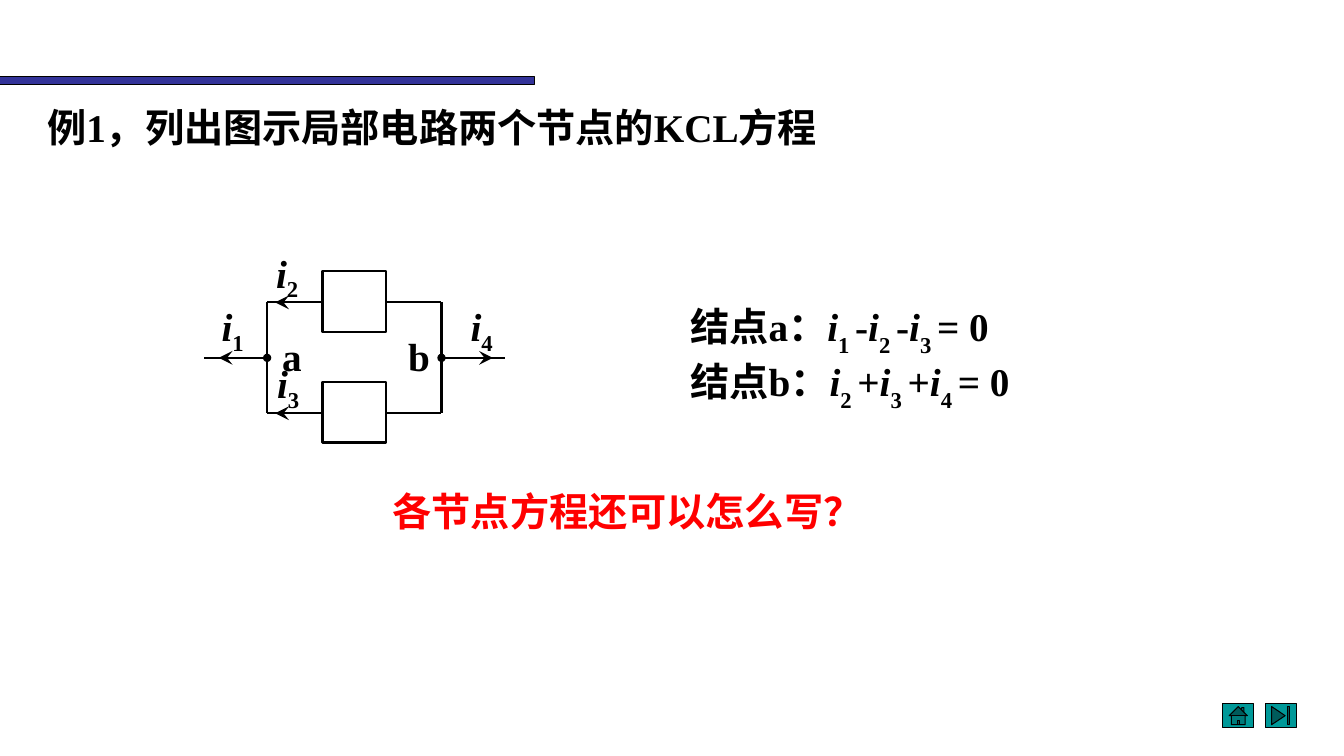
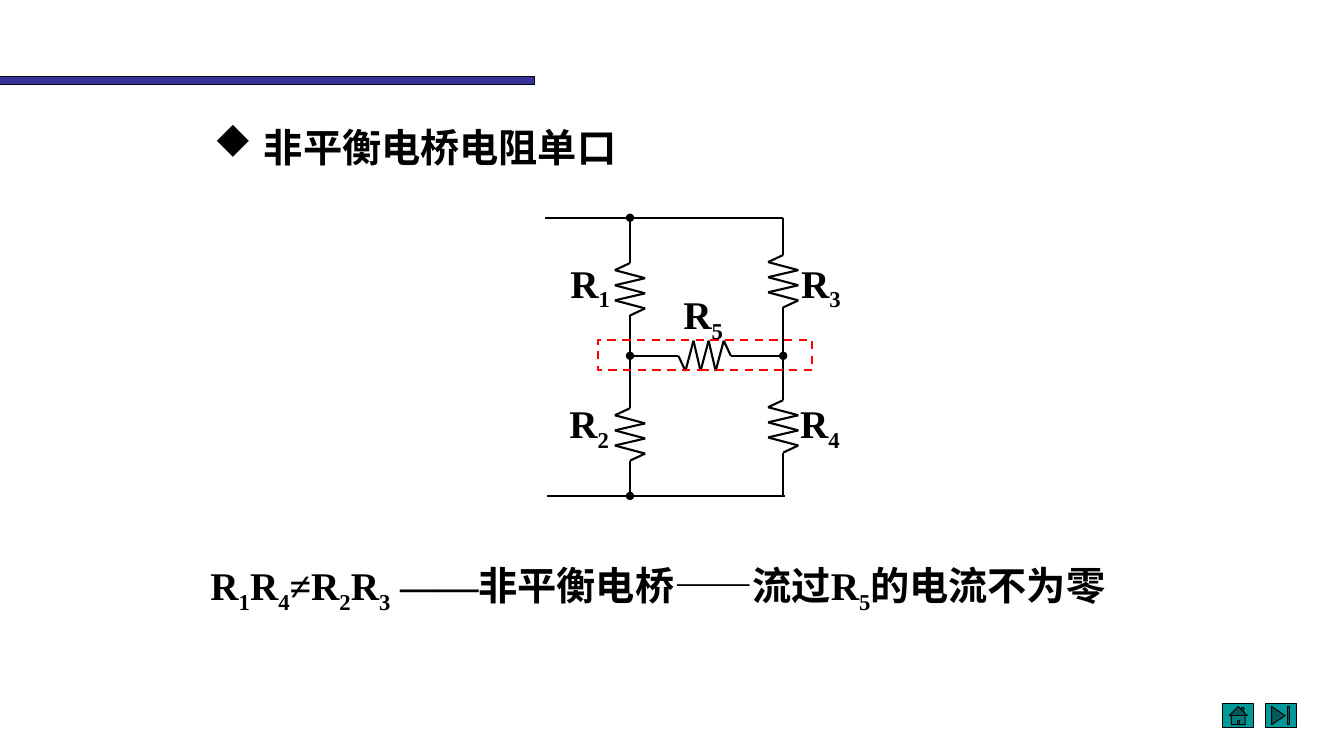
from itertools import pairwise

from lxml import etree
from pptx import Presentation
from pptx.dml.color import RGBColor
from pptx.enum import dml, shapes, text
from pptx.oxml.ns import qn
from pptx.util import Pt

SCALE = 9144  # EMU in one px, 100 px to the inch
BLACK = RGBColor(0x00, 0x00, 0x00)
RED = RGBColor(0xFF, 0x00, 0x00)
NAVY = RGBColor(0x33, 0x33, 0x99)
TEAL = RGBColor(0x00, 0x99, 0x99)
LATIN = "Times New Roman"
CHINESE = "Noto Sans CJK SC"
LABEL_HEIGHT = 57


def px(*lengths):
    return [round(length * SCALE) for length in lengths]


def add_runs(paragraph, markup, color, latin, drop):
    """Write pieces split by |, where * starts an italic and _ a subscript."""
    for piece in markup.split("|"):
        run = paragraph.add_run()
        run.text = piece.lstrip("*_")
        font = run.font
        font.name, font.size, font.bold = latin, Pt(28), True
        font.italic = piece.startswith("*")
        font.color.rgb = color
        properties = run._r.get_or_add_rPr()
        etree.SubElement(properties, qn("a:ea"), typeface=CHINESE)
        if piece.startswith("_"):
            properties.set("baseline", str(-1000 * drop))


def add_text(slide, box, *lines, color=BLACK, latin=LATIN, drop=25,
             align=text.PP_ALIGN.LEFT, inset=(10, 5)):
    shape = slide.shapes.add_textbox(*px(*box))
    frame = shape.text_frame
    frame.word_wrap = True
    frame.margin_left = frame.margin_right = px(inset[0])[0]
    frame.margin_top = frame.margin_bottom = px(inset[1])[0]
    for index, markup in enumerate(lines):
        paragraph = frame.add_paragraph() if index else frame.paragraphs[0]
        paragraph.alignment = align
        add_runs(paragraph, markup, color, latin, drop)
    return shape


def add_box(slide, kind, box, fill=None, line=BLACK, width=1.5):
    shape = slide.shapes.add_shape(kind, *px(*box))
    shape.shadow.inherit = False
    if fill is None:
        shape.fill.background()
    else:
        shape.fill.solid()
        shape.fill.fore_color.rgb = fill
    shape.line.color.rgb = line
    shape.line.width = Pt(width)
    return shape


def add_wire(slide, start, end, head=None, tail=None):
    """Draw a line with an optional end mark (oval, stealth) at each end."""
    wire = slide.shapes.add_connector(
        shapes.MSO_CONNECTOR.STRAIGHT, *px(*start, *end))
    wire.line.color.rgb = BLACK
    wire.line.width = Pt(1.5)
    properties = wire._element.spPr
    outline = properties.find(qn("a:ln"))
    for tag, mark in (("a:headEnd", head), ("a:tailEnd", tail)):
        if mark:
            size = "lg" if mark == "stealth" else "med"
            etree.SubElement(outline, qn(tag), type=mark, w=size, len=size)
    etree.SubElement(properties, qn("a:effectLst"))


def add_resistor(slide, left, top, horizontal=False):
    """Draw a zigzag 52 px long from left, top, with a lead at each end."""
    along = (-23, 0, 7, 15, 22, 30, 37, 45, 52, 75)
    across = (0, 0, -15, 15, -15, 15, -15, 15, 0, 0)
    if horizontal:
        points = [(left + a, top - c) for a, c in zip(along, across)]
    else:
        points = [(left + c, top + a) for a, c in zip(along, across)]
    for start, end in pairwise(points):
        add_wire(slide, start, end)


def new_slide(presentation):
    """Add a blank slide with the shared band and navigation buttons."""
    slide = presentation.slides.add_slide(presentation.slide_layouts[6])
    kinds = shapes.MSO_SHAPE
    for kind, box, fill in (
            (kinds.RECTANGLE, (0, 76, 530, 8), NAVY),
            (kinds.ACTION_BUTTON_HOME, (1213, 698, 31, 24), TEAL),
            (kinds.ACTION_BUTTON_END, (1255, 698, 31, 24), TEAL)):
        add_box(slide, kind, box, fill, width=0.75)
    return slide


def draw_two_node_circuit(slide, left, top):
    def at(x, y):
        return left + x, top + y

    node_a, node_b, middle = 63, 236, 86
    box_left, box_width, box_height = 118, 63, 60
    for branch in (31, 141):
        add_box(slide, shapes.MSO_SHAPE.RECTANGLE,
                (*at(box_left, branch - 31), box_width, box_height))
        add_wire(slide, at(node_a, branch), at(box_left, branch))
        add_wire(slide, at(box_left + box_width, branch), at(node_b, branch))
        add_wire(slide, at(102, branch), at(71, branch), tail="stealth")
    for node, end, arrow in ((node_a, 0, (47, 15)), (node_b, 299, (255, 287))):
        add_wire(slide, at(node, 31), at(node, 141))
        add_wire(slide, at(node, middle), at(end, middle), head="oval")
        add_wire(slide, at(arrow[0], middle), at(arrow[1], middle),
                 tail="stealth")
    for markup, x, y in (("a", 68, 56), ("b", 193, 56), ("*i|_1", 8, 26),
                         ("*i|_2", 62, -27), ("*i|_3", 63, 83),
                         ("*i|_4", 255, 26)):
        add_text(slide, (*at(x, y), 55, LABEL_HEIGHT), markup)


def draw_bridge(slide, left, top):
    def at(x, y):
        return left + x, top + y

    near, far, middle, bottom = 84, 236, 137, 276
    add_wire(slide, at(0, 0), at(far, 0))
    add_wire(slide, at(2, bottom), at(far + 2, bottom))
    for column, upper, lower, mark in ((near, 45, 189, "oval"),
                                       (far, 37, 181, None)):
        add_wire(slide, at(column, 0), at(column, 32), head=mark)
        add_wire(slide, at(column, 102), at(column, 173))
        add_wire(slide, at(column, bottom - 32), at(column, bottom), tail=mark)
        for start in (upper, lower):
            add_resistor(slide, *at(column, start))

    add_wire(slide, at(near, middle), at(near + 39, middle), head="oval")
    add_resistor(slide, *at(132, middle), horizontal=True)
    add_wire(slide, at(far - 40, middle), at(far, middle), tail="oval")
    frame = add_box(slide, shapes.MSO_SHAPE.RECTANGLE,
                    (*at(52, middle - 16), 213, 30), line=RED)
    frame.line.dash_style = dml.MSO_LINE.DASH
    for number, x, y in ((1, 15, 36), (2, 14, 175), (3, 244, 36),
                         (4, 243, 175), (5, 127, 67)):
        add_text(slide, (*at(x, y), 61, LABEL_HEIGHT), f"R|_{number}")


def build_kcl_slide(presentation):
    slide = new_slide(presentation)
    add_text(slide, (37, 98, 858, 57), "例1，列出图示局部电路两个节点的KCL方程")
    draw_two_node_circuit(slide, 202, 269)
    add_text(slide, (675, 295, 575, 103),
             "结点a：|*i|_1 |-|*i|_2 |-|*i|_3 |= 0",
             "结点b：|*i|_2 |+|*i|_3 |+|*i|_4 |= 0",
             drop=30, align=text.PP_ALIGN.JUSTIFY)
    add_text(slide, (367, 483, 511, 47), "各节点方程还可以怎么写？", color=RED,
             latin=CHINESE, align=text.PP_ALIGN.CENTER, inset=(0, 0))


def build_bridge_slide(presentation):
    slide = new_slide(presentation)
    heading = add_text(slide, (202, 117, 709, 57), "非平衡电桥电阻单口")
    properties = heading.text_frame.paragraphs[0]._p.get_or_add_pPr()
    indent = px(50)[0]
    properties.set("marL", str(indent))
    properties.set("indent", str(-indent))
    # In Wingdings the letter u is a solid diamond.
    etree.SubElement(properties, qn("a:buFont"), typeface="Wingdings",
                     pitchFamily="2", charset="2")
    etree.SubElement(properties, qn("a:buChar"), char="u")
    draw_bridge(slide, 541, 216)
    add_text(slide, (199, 552, 937, 57),
             "R|_1|R|_4|≠R|_2|R|_3| ——非平衡电桥——流过R|_5|的电流不为零")


def main():
    presentation = Presentation()
    presentation.slide_height = px(750)[0]
    presentation.slide_width = presentation.slide_height * 16 // 9
    build_kcl_slide(presentation)
    build_bridge_slide(presentation)
    presentation.save("out.pptx")


if __name__ == "__main__":
    main()
